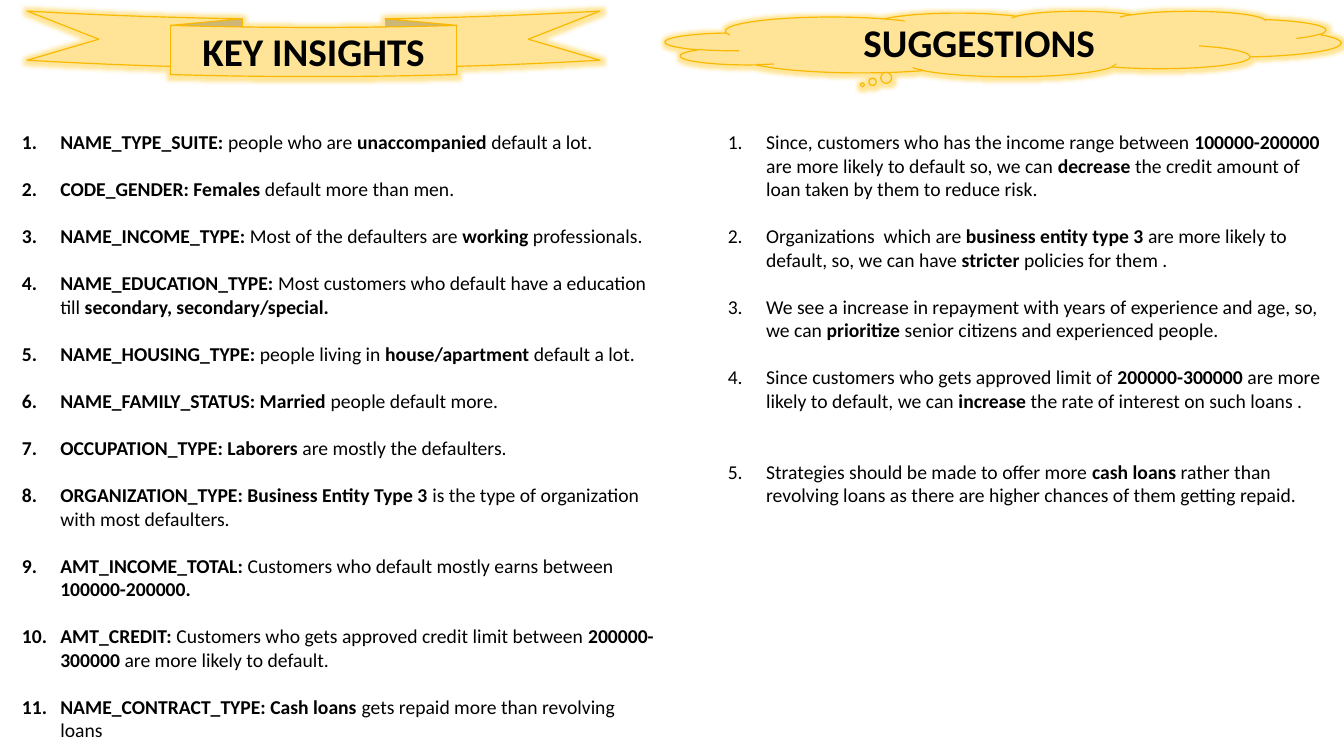
"""Builds a slide of key insights and suggestions on loan defaults."""
from lxml import etree
from pptx import Presentation
from pptx.dml.color import RGBColor
from pptx.enum.shapes import MSO_SHAPE
from pptx.enum.text import MSO_ANCHOR, MSO_AUTO_SIZE, PP_ALIGN
from pptx.oxml.ns import qn
from pptx.util import Inches, Pt

RIBBON = MSO_SHAPE.CURVED_DOWN_RIBBON
CLOUD = MSO_SHAPE.CLOUD_CALLOUT
MIDDLE = MSO_ANCHOR.MIDDLE
CENTER = PP_ALIGN.CENTER
GROW = MSO_AUTO_SIZE.SHAPE_TO_FIT_TEXT
BLANK_LINE = 16.8

INSIGHTS = [
    "**NAME_TYPE_SUITE: **people who are **unaccompanied** default a lot.",
    "**CODE_GENDER: Females** default more than men.",
    "**NAME_INCOME_TYPE: **Most of the defaulters are **working** professionals.",
    "**NAME_EDUCATION_TYPE: **Most customers who default have a education till "
    "**secondary, secondary/special.**",
    "**NAME_HOUSING_TYPE: **people living in **house/apartment **default a lot.",
    "**NAME_FAMILY_STATUS: Married** people default more.",
    "**OCCUPATION_TYPE: Laborers** are mostly the defaulters.",
    "**ORGANIZATION_TYPE: Business Entity Type 3 **is the type of organization "
    "with most defaulters.",
    "**AMT_INCOME_TOTAL: **Customers who default mostly earns between "
    "**100000-200000.**",
    "**AMT_CREDIT: **Customers who gets approved credit limit between "
    "**200000-300000 **are more likely to default.",
    "**NAME_CONTRACT_TYPE: Cash loans **gets repaid more than revolving loans",
]
SUGGESTIONS = [
    "Since, customers who has the income range between **100000-200000 **are more "
    "likely to default so, we can **decrease** the credit amount of loan taken by "
    "them to reduce risk.",
    "Organizations  which are **business entity type 3 **are more likely to "
    "default, so, we can have **stricter** policies for them .",
    "We see a increase in repayment with years of experience and age, so, we can "
    "**prioritize** senior citizens and experienced people.",
    "Since customers who gets approved limit of **200000-300000** are more likely "
    "to default, we can **increase** the rate of interest on such loans .",
    "Strategies should be made to offer more **cash loans **rather than revolving "
    "loans as there are higher chances of them getting repaid.",
]


def color(hex_string):
    return RGBColor.from_string(hex_string)


def style(font, size, bold):
    font.name = "Calibri"
    font.size = Pt(size)
    font.bold = bold
    font.color.rgb = color("000000")


prs = Presentation()
prs.slide_width, prs.slide_height = Inches(13.33), Inches(7.5)
slide = prs.slides.add_slide(prs.slide_layouts[6])

for preset, left, width, heading in [
    (RIBBON, 0.27, 5.68, "KEY INSIGHTS"),
    (CLOUD, 6.6, 6.7, "SUGGESTIONS"),
]:
    banner = slide.shapes.add_shape(
        preset, Inches(left), Inches(0.11), Inches(width), Inches(0.65))
    banner.shadow.inherit = False
    banner.fill.solid()
    banner.fill.fore_color.rgb = color("FFE497")
    banner.line.color.rgb = color("FAB900")
    banner.line.width = Pt(0.85)
    effects = banner.element.spPr.find(qn("a:effectLst"))
    glow = etree.SubElement(effects, qn("a:glow"), rad=str(Pt(5)))
    glow_color = etree.SubElement(glow, qn("a:srgbClr"), val="FFC000")
    etree.SubElement(glow_color, qn("a:alpha"), val="40000")
    frame = banner.text_frame
    frame.text = heading
    frame.vertical_anchor = MIDDLE
    frame.paragraphs[0].alignment = CENTER
    style(frame.paragraphs[0].runs[0].font, 28, True)

for left, width, height, points in [
    (0.12, 6.54, 7.64, INSIGHTS),
    (7.12, 6.18, 5.62, SUGGESTIONS),
]:
    frame = slide.shapes.add_textbox(
        Inches(left), Inches(1.24), Inches(width), Inches(height)).text_frame
    frame.word_wrap = True
    frame.auto_size = GROW
    for index, point in enumerate(points):
        paragraph = frame.paragraphs[0] if index == 0 else frame.add_paragraph()
        properties = paragraph._p.get_or_add_pPr()
        properties.set("marL", str(Inches(0.38)))
        properties.set("indent", str(Inches(-0.38)))
        etree.SubElement(properties, qn("a:buFont"), typeface="+mj-lt")
        etree.SubElement(properties, qn("a:buAutoNum"), type="arabicPeriod")
        if index < len(points) - 1:
            paragraph.space_after = Pt(BLANK_LINE)
        for part, words in enumerate(point.split("**")):
            if words:
                run = paragraph.add_run()
                run.text = words
                style(run.font, 14, part % 2 == 1)

frame.paragraphs[-1].space_before = Pt(BLANK_LINE)

prs.save("out.pptx")
